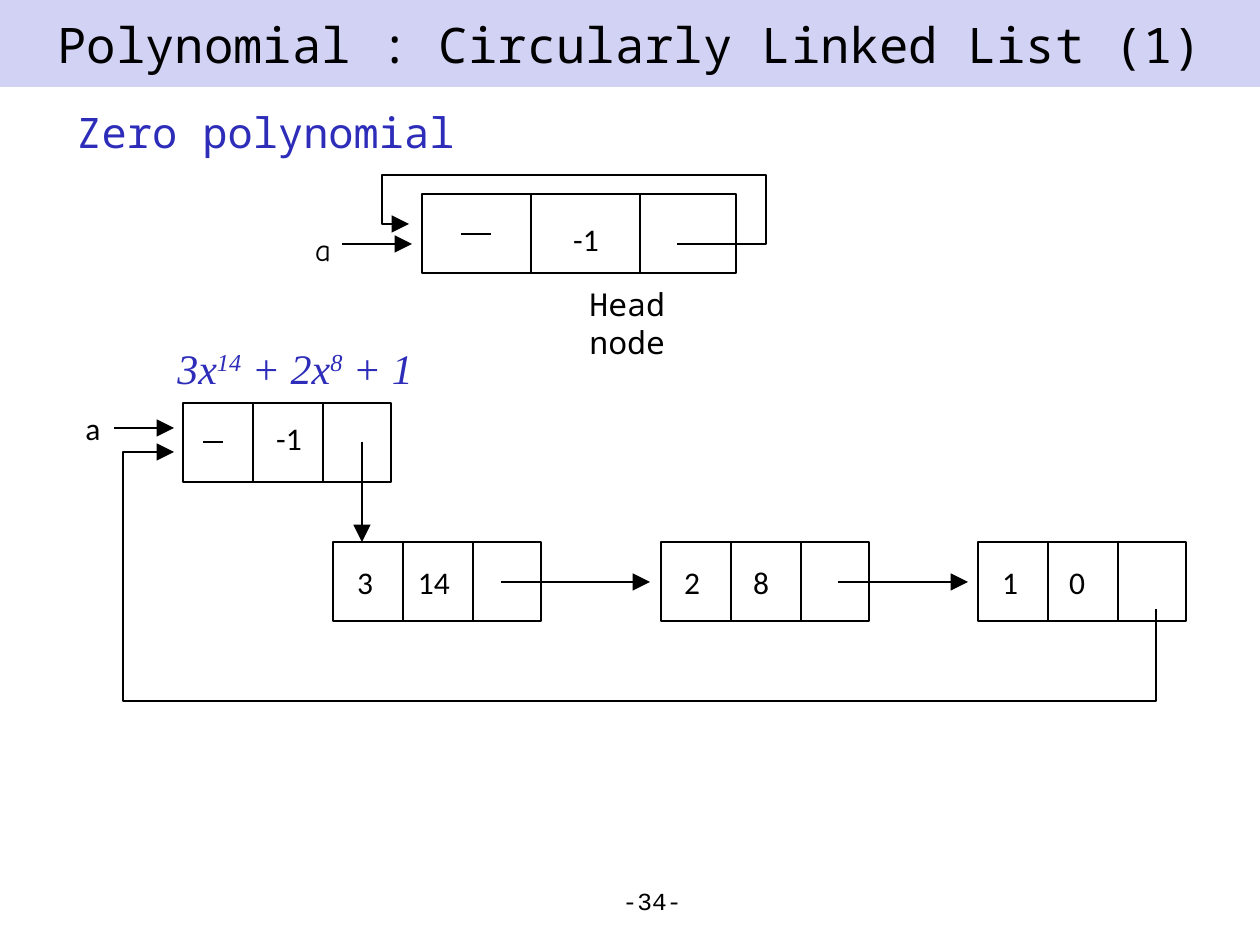
from dataclasses import dataclass

from lxml.etree import SubElement
from pptx import Presentation
from pptx.dml.color import RGBColor
from pptx.enum.shapes import MSO_CONNECTOR, MSO_SHAPE
from pptx.enum.text import MSO_ANCHOR, PP_ALIGN
from pptx.oxml.ns import qn
from pptx.util import Emu, Pt

COLORS = {"ink": "000000", "paper": "FFFFFF", "band": "D2D2F4", "blue": "2D2DB9"}
MONO, SANS, SERIF = "Noto Sans Mono", "Calibri", "Times New Roman"


@dataclass
class Node:
    left: int
    top: int
    width: int = 208
    cell: int = 70


@dataclass
class Label:
    text: str
    mid: int
    top: int
    font: str = SANS


def px(num: int) -> Emu:
    return Emu(round(num * 914400 / 126))


def rgb(name: str) -> RGBColor:
    return RGBColor.from_string(COLORS[name])


def style(para, size: int, font: str, color: str = "ink") -> None:
    for run in para.runs:
        run.font.size = Pt(size)
        run.font.name = font
        run.font.color.rgb = rgb(color)


def pen(shape, arrow: bool = False) -> None:
    shape.line.color.rgb = rgb("ink")
    shape.line.width = Pt(0.75)
    if arrow:
        SubElement(shape.line._get_or_add_ln(), qn("a:tailEnd"),
                   type="triangle", w="lg", len="lg")


def add_text(slide, text: str, left: int, top: int, width: int, height: int,
             size: int = 18, font: str = MONO, color: str = "ink",
             align=PP_ALIGN.LEFT, wrap: bool = True):
    box = slide.shapes.add_textbox(px(left), px(top), px(width), px(height))
    box.text_frame.word_wrap = wrap
    para = box.text_frame.paragraphs[0]
    para.text = text
    para.alignment = align
    style(para, size, font, color)
    return para


def add_line(slide, x1: int, y1: int, x2: int, y2: int, arrow: bool = False) -> None:
    line = slide.shapes.add_connector(
        MSO_CONNECTOR.STRAIGHT, px(x1), px(y1), px(x2), px(y2))
    pen(line, arrow)
    SubElement(line._element.spPr, qn("a:effectLst"))


def add_loop(slide, points: list[tuple[int, int]]) -> None:
    """Draw an open bent path that ends in an arrowhead."""
    start, *rest = [(px(x), px(y)) for x, y in points]
    path = slide.shapes.build_freeform(*start)
    path.add_line_segments(rest, close=False)
    loop = path.convert_to_shape()
    loop.shadow.inherit = False
    loop.fill.background()
    pen(loop, True)


def add_node(slide, node: Node) -> None:
    """Draw a list node: a box split by two dividers."""
    high = 79
    box = slide.shapes.add_shape(
        MSO_SHAPE.RECTANGLE, px(node.left), px(node.top), px(node.width), px(high))
    box.shadow.inherit = False
    box.fill.solid()
    box.fill.fore_color.rgb = rgb("paper")
    pen(box)
    for step in (1, 2):
        x = node.left + step * node.cell
        add_line(slide, x, node.top, x, node.top + high)


def add_label(slide, label: Label) -> None:
    width = 42 if len(label.text) == 1 else 64
    add_text(slide, label.text, label.mid - width // 2, label.top, width, 50,
             font=label.font, align=PP_ALIGN.CENTER, wrap=False)


def add_title(slide, text: str) -> None:
    title = slide.shapes.title
    title.left, title.top, title.width, title.height = px(0), px(0), px(1260), px(87)
    title.fill.solid()
    title.fill.fore_color.rgb = rgb("band")
    frame = title.text_frame
    frame.text = text
    frame.vertical_anchor = MSO_ANCHOR.MIDDLE
    frame.paragraphs[0].alignment = PP_ALIGN.CENTER
    style(frame.paragraphs[0], 28, MONO)


def add_formula(slide) -> None:
    para = add_text(slide, "", 165, 336, 300, 60)
    for text, power in (("3x", "14"), (" + 2x", "8"), (" + 1", "")):
        para.add_run().text = text
        if power:
            run = para.add_run()
            run.text = power
            run._r.get_or_add_rPr().set("baseline", "30000")
    style(para, 24, SERIF, "blue")
    for run in para.runs:
        run.font.italic = True


NODES = [
    Node(422, 194, 314, 109),
    Node(183, 403),
    *(Node(left, 542) for left in (333, 661, 978)),
]
LABELS = [
    Label("a", 323, 224, "Comic Neue"), Label("-1", 586, 214),
    Label("a", 93, 403), Label("-1", 289, 413),
    Label("3", 365, 557), Label("14", 434, 557),
    Label("2", 692, 557), Label("8", 761, 557),
    Label("1", 1010, 557), Label("0", 1077, 557),
]
DASHES = [(461, 234, 491, 234), (203, 442, 223, 442)]
ARROWS = [
    (342, 244, 412, 244), (114, 428, 174, 428), (362, 442, 362, 542),
    (501, 582, 650, 582), (838, 582, 968, 582),
]
LOOPS = [
    [(677, 244), (766, 244), (766, 175), (382, 175), (382, 224), (409, 224)],
    [(1156, 609), (1156, 701), (123, 701), (123, 452), (174, 452)],
]


def main() -> None:
    deck = Presentation()
    deck.slide_width, deck.slide_height = px(1260), px(945)
    slide = deck.slides.add_slide(deck.slide_layouts[5])
    add_title(slide, "Polynomial : Circularly Linked List (1)")
    add_text(slide, "Zero polynomial", 64, 100, 1125, 70, 24, color="blue")
    add_formula(slide)
    for node in NODES:
        add_node(slide, node)
    for ends in DASHES:
        add_line(slide, *ends)
    for ends in ARROWS:
        add_line(slide, *ends, arrow=True)
    for points in LOOPS:
        add_loop(slide, points)
    for label in LABELS:
        add_label(slide, label)
    add_text(slide, "Head node", 577, 279, 183, 50)
    add_text(slide, "-34-", 432, 880, 262, 39, 14, "Courier New",
             align=PP_ALIGN.RIGHT)
    deck.save("out.pptx")


if __name__ == "__main__":
    main()
